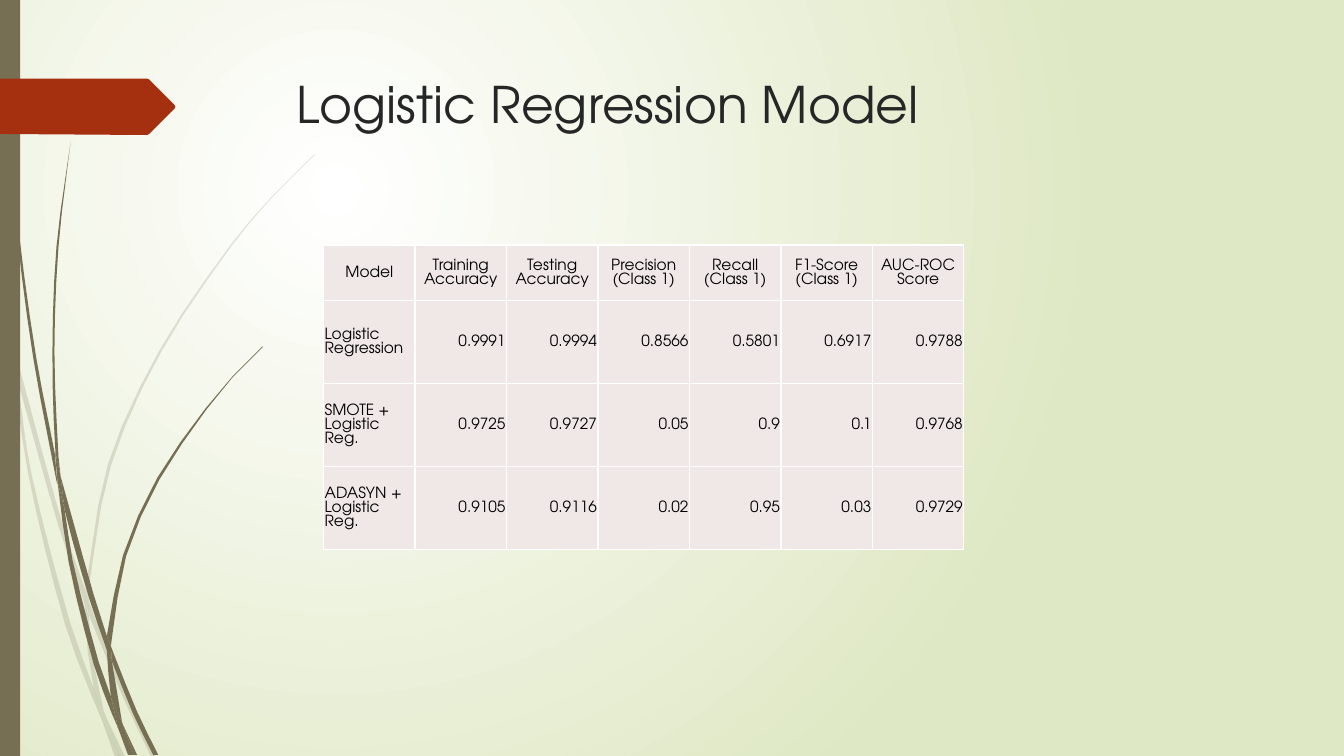
import math

import lxml.etree
import pptx
import pptx.dml.color
import pptx.enum.shapes
import pptx.enum.text
import pptx.oxml
import pptx.oxml.ns
import pptx.util

PX = 9144  # EMU in one px, at 100 px to the inch
FONT = "TeX Gyre Adventor"
OLIVE = pptx.dml.color.RGBColor(0x76, 0x6F, 0x54)
RED = pptx.dml.color.RGBColor(0xA5, 0x30, 0x10)
CHARCOAL = pptx.dml.color.RGBColor(0x26, 0x26, 0x26)
BLACK = pptx.dml.color.RGBColor(0, 0, 0)
BLUSH = pptx.dml.color.RGBColor(0xF0, 0xE8, 0xE7)
WHITE = pptx.dml.color.RGBColor(0xFF, 0xFF, 0xFF)
PALE_GREEN = pptx.dml.color.RGBColor(0xDF, 0xE8, 0xC4)

# Each blade of grass has two edges, given by the points they run through
FAINT_BLADES = [
    ([(11, 350), (9, 322), (0, 282)], [(0, 299), (10, 344), (11, 350)]),
    ([(17, 376), (58, 522), (84, 599)], [(85, 586), (62, 520), (14, 345)]),
    ([(88, 610), (123, 694), (150, 751)], [(155, 751), (127, 692), (92, 607), (88, 596)]),
    ([(105, 711), (119, 751)], [(124, 751), (105, 711)]),
    ([(11, 350), (28, 470), (65, 621), (92, 693), (101, 714)],
     [(99, 707), (93, 683), (70, 619), (31, 469), (17, 376), (11, 350)]),
    ([(84, 599), (87, 646), (93, 683), (96, 692), (105, 711)],
     [(103, 706), (91, 646), (88, 610), (84, 599)]),
    ([(88, 596), (88, 584), (110, 462), (160, 349), (229, 245), (268, 198), (312, 154)],
     [(312, 153), (268, 197), (228, 244), (158, 348), (107, 461), (85, 584)]),
    ([(101, 714), (114, 751)], [(119, 751), (101, 714)]),
    ([(84, 599), (88, 608), (88, 610)], [(88, 596), (85, 586)]),
    ([(93, 683), (99, 707), (101, 714), (119, 751)], [(105, 711), (96, 692), (93, 683)]),
]
DARK_BLADES = [
    ([(3, 0), (7, 110), (17, 233), (33, 355), (56, 477), (57, 481)],
     [(55, 457), (55, 453), (36, 355), (19, 232), (8, 109), (4, 0)]),
    ([(60, 472), (64, 505), (88, 592), (106, 645)], [(106, 633), (106, 631), (93, 590), (60, 472)]),
    ([(111, 656), (132, 708), (152, 749)], [(157, 749), (136, 706), (113, 649), (110, 641)]),
    ([(57, 477), (68, 557), (93, 659), (111, 708), (117, 722)],
     [(116, 717), (110, 691), (98, 657), (72, 556), (64, 505), (57, 477)]),
    ([(60, 472), (58, 453), (54, 349), (58, 245), (70, 141)],
     [(70, 141), (56, 245), (52, 349), (55, 449), (60, 472)]),
    ([(122, 719), (133, 749)], [(136, 749), (122, 719)]),
    ([(55, 449), (55, 453), (57, 477), (64, 505)], [(60, 472), (55, 449)]),
    ([(110, 641), (111, 633), (125, 552), (158, 476), (205, 406), (231, 374), (261, 344)],
     [(260, 344), (231, 373), (204, 405), (156, 474), (122, 551), (106, 631)]),
    ([(117, 722), (127, 749)], [(131, 749), (117, 722)]),
    ([(106, 645), (110, 691), (116, 706), (122, 719)], [(121, 716), (111, 656), (109, 651), (106, 645)]),
    ([(106, 633), (106, 645), (109, 651), (111, 656)], [(110, 641), (106, 631)]),
    ([(110, 691), (116, 717), (117, 722), (130, 749)], [(133, 749), (122, 719), (116, 706), (110, 691)]),
]
ARROW_POINTS = [(0, 0), (146, 0), (148, 1), (173, 26), (174, 28),
                (173, 30), (148, 55), (146, 56), (0, 55)]
SCORES = [
    ["Model", "Training Accuracy", "Testing Accuracy", "Precision (Class 1)",
     "Recall (Class 1)", "F1-Score (Class 1)", "AUC-ROC Score"],
    ["Logistic Regression", "0.9991", "0.9994", "0.8566", "0.5801", "0.6917", "0.9788"],
    ["SMOTE + Logistic Reg.", "0.9725", "0.9727", "0.05", "0.9", "0.1", "0.9768"],
    ["ADASYN + Logistic Reg.", "0.9105", "0.9116", "0.02", "0.95", "0.03", "0.9729"],
]


def smooth(points, longest_step=45):
    """Return points along a smooth curve through the given ones."""
    def tangent(index):
        before, here = points[max(index - 1, 0)], points[index]
        after = points[min(index + 1, len(points) - 1)]
        length = math.dist(before, here) + math.dist(here, after)
        return [(b - a) / length for a, b in zip(before, after)]

    curve = [points[0]]
    for index in range(len(points) - 1):
        start, end = points[index], points[index + 1]
        chord = math.dist(start, end)
        leave, arrive = tangent(index), tangent(index + 1)
        # A straight edge of two points needs no steps between
        steps = math.ceil(chord / longest_step) if len(points) > 2 else 1
        for step in range(1, steps + 1):
            t = step / steps
            curve.append(tuple(
                (2 * t**3 - 3 * t**2 + 1) * start[axis] + (3 * t**2 - 2 * t**3) * end[axis]
                + chord * ((t**3 - 2 * t**2 + t) * leave[axis] + (t**3 - t**2) * arrive[axis])
                for axis in (0, 1)))
    return curve


def paint(shape, color):
    shape.shadow.inherit = False
    shape.fill.solid()
    shape.fill.fore_color.rgb = color
    shape.line.fill.background()


def add_outline(shapes, left, top, points, color):
    corners = [((left + x) * PX, (top + y) * PX) for x, y in points]
    builder = shapes.build_freeform(*corners[0], scale=1.0)
    builder.add_line_segments(corners[1:], close=True)
    shape = builder.convert_to_shape()
    paint(shape, color)
    return shape


def add_grass(slide, left, top, blades, opacity):
    group = slide.shapes.add_group_shape()
    for first_edge, second_edge in blades:
        blade = add_outline(group.shapes, left, top, smooth(first_edge) + smooth(second_edge), OLIVE)
        if opacity < 100:
            color = blade.element.spPr.find(".//" + pptx.oxml.ns.qn("a:srgbClr"))
            lxml.etree.SubElement(color, pptx.oxml.ns.qn("a:alpha"), val=str(opacity * 1000))


def add_side_bar(slide, left, top, width, height):
    bar = slide.shapes.add_shape(pptx.enum.shapes.MSO_SHAPE.RECTANGLE,
                                 left * PX, top * PX, width * PX, height * PX)
    paint(bar, OLIVE)


def set_background(slide):
    slide.background.fill.gradient()
    gradient = slide.element.find(".//" + pptx.oxml.ns.qn("a:gradFill"))
    glow = pptx.oxml.parse_xml(
        f'<a:gradFill {pptx.oxml.ns.nsdecls("a")} rotWithShape="1"><a:gsLst>'
        f'<a:gs pos="0"><a:srgbClr val="{WHITE}"/></a:gs>'
        f'<a:gs pos="100000"><a:srgbClr val="{PALE_GREEN}"/></a:gs></a:gsLst>'
        '<a:path path="circle"><a:fillToRect l="50000" t="50000" r="100000" b="100000"/></a:path>'
        '</a:gradFill>')
    gradient.getparent().replace(gradient, glow)


def write(paragraph, text, size, color, alignment):
    paragraph.alignment = alignment
    run = paragraph.add_run()
    run.text = text
    run.font.name = FONT
    run.font.size = pptx.util.Pt(size)
    run.font.bold = False
    run.font.color.rgb = color


def place_title(slide, left, top, width, height):
    title = slide.shapes.title
    title.left, title.top, title.width, title.height = (n * PX for n in (left, top, width, height))
    frame = title.text_frame
    frame.word_wrap = True
    frame.auto_size = pptx.enum.text.MSO_AUTO_SIZE.NONE
    frame.vertical_anchor = pptx.enum.text.MSO_ANCHOR.TOP
    write(frame.paragraphs[0], "Logistic Regression Model", 36, CHARCOAL, pptx.enum.text.PP_ALIGN.LEFT)
    title.element.getparent().append(title.element)  # in front of the decoration


def format_cell(cell):
    cell.margin_left = cell.margin_right = cell.margin_top = PX
    cell.margin_bottom = 0
    cell.vertical_anchor = pptx.enum.text.MSO_ANCHOR.MIDDLE
    for side in ("lnL", "lnR", "lnT", "lnB"):
        cell._tc.get_or_add_tcPr().append(pptx.oxml.parse_xml(
            f'<a:{side} {pptx.oxml.ns.nsdecls("a")} w="12700"><a:solidFill>'
            f'<a:srgbClr val="{WHITE}"/></a:solidFill></a:{side}>'))
    cell.fill.solid()
    cell.fill.fore_color.rgb = BLUSH


def add_score_table(slide, left, top, width, height, header_height):
    align = pptx.enum.text.PP_ALIGN
    table = slide.shapes.add_table(len(SCORES), len(SCORES[0]), left * PX, top * PX,
                                   width * PX, height * PX).table
    table.first_row = table.horz_banding = False
    for column in table.columns:
        column.width = width * PX // len(SCORES[0])
    for index, row in enumerate(table.rows):
        body_height = (height - header_height) * PX // (len(SCORES) - 1)
        row.height = body_height if index else header_height * PX
    for row_index, texts in enumerate(SCORES):
        for column_index, text in enumerate(texts):
            cell = table.cell(row_index, column_index)
            format_cell(cell)
            body_alignment = align.RIGHT if column_index else align.LEFT
            write(cell.text_frame.paragraphs[0], text, 11, BLACK,
                  body_alignment if row_index else align.CENTER)


def main():
    presentation = pptx.Presentation()
    presentation.slide_width, presentation.slide_height = 1333 * PX, 750 * PX
    slide = presentation.slides.add_slide(presentation.slide_layouts[5])
    # Decoration
    set_background(slide)
    add_grass(slide, 0, 0, FAINT_BLADES, 20)
    add_grass(slide, 0, 0, DARK_BLADES, 100)
    add_side_bar(slide, 0, 0, 20, 750)
    add_outline(slide.shapes, 0, 78, ARROW_POINTS, RED)
    # Content
    place_title(slide, 284, 68, 975, 140)
    add_score_table(slide, 321, 243, 635, 302, 55)
    presentation.save("out.pptx")


if __name__ == "__main__":
    main()
